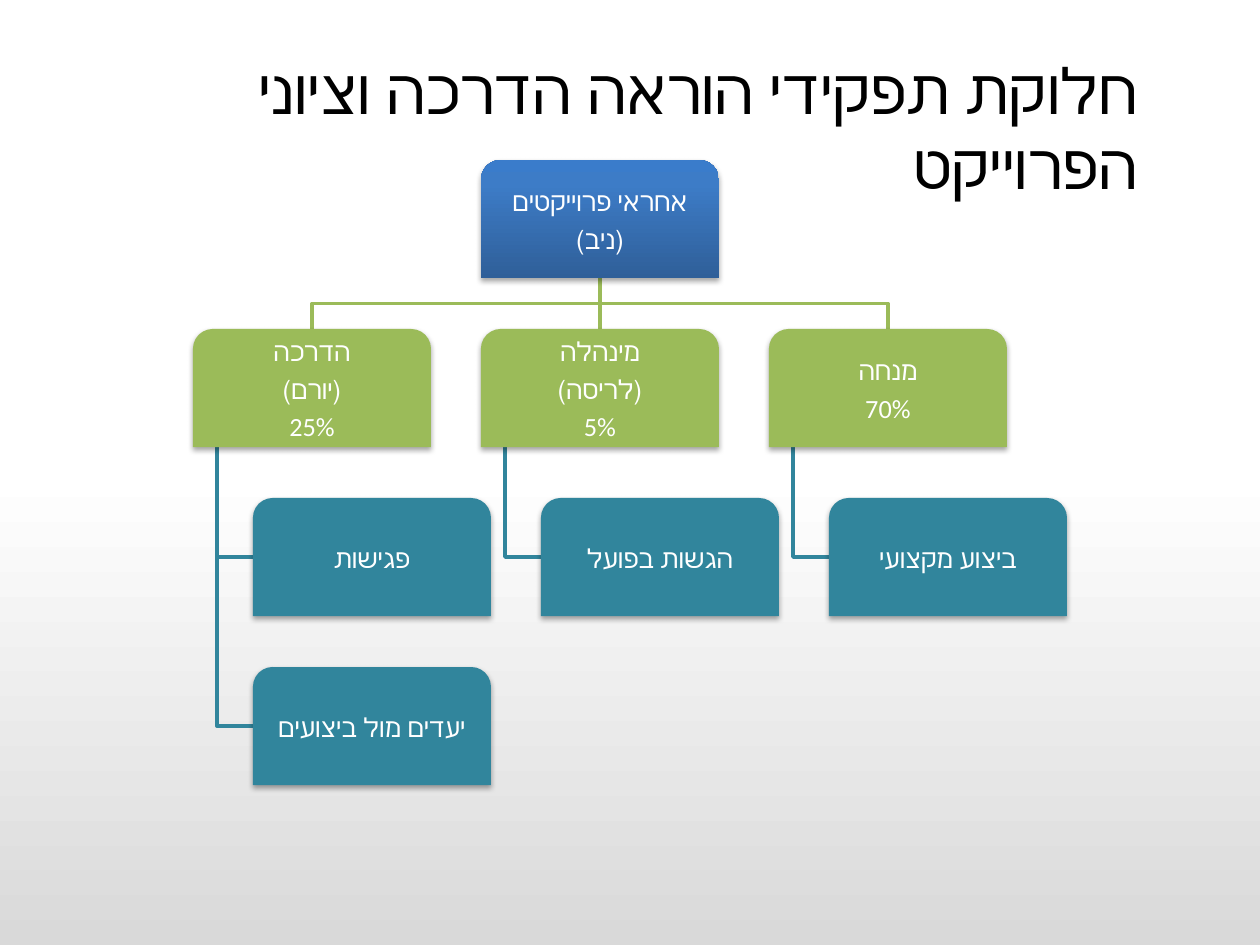
import copy

import lxml.etree
import pptx
import pptx.dml.color
import pptx.enum.shapes
import pptx.enum.text
import pptx.oxml.ns
import pptx.util

# Content: lines of each box; every branch holds its head and its children
TITLE = "חלוקת תפקידי הוראה הדרכה וציוני הפרוייקט"
ROOT = ["אחראי פרוייקטים", "(ניב)"]
BRANCHES = [
    (["הדרכה", "(יורם)", "25%"], ["פגישות", "יעדים מול ביצועים"]),
    (["מינהלה", "(לריסה)", "5%"], ["הגשות בפועל"]),
    (["מנחה", "70%"], ["ביצוע מקצועי"]),
]

RGB = pptx.dml.color.RGBColor
BLACK, WHITE = RGB(0, 0, 0), RGB(255, 255, 255)
GREY = RGB(0xD9, 0xD9, 0xD9)
GREEN, TEAL = RGB(0x9B, 0xBB, 0x59), RGB(0x31, 0x85, 0x9C)
BLUE_STOPS = [(0, RGB(0x2F, 0x5F, 0x99)), (0.8, RGB(0x3D, 0x7C, 0xC7)),
              (1, RGB(0x3A, 0x7C, 0xCB))]
FONT = "Calibri"

# Layout in px
PX = 914400 / 126
LEFT, TOP = 193, 160
BOX_W, BOX_H = 238, 118
COL_STEP, ROW_STEP = 288, 169
INDENT, TRUNK = 60, 24

qn = pptx.oxml.ns.qn
SHAPE = pptx.enum.shapes.MSO_SHAPE
ALIGN = pptx.enum.text.PP_ALIGN


def emu(px):
    return pptx.util.Emu(round(px * PX))


def format_paragraph(p, size, color, align, rtl):
    p.alignment = align
    if rtl:
        p._p.get_or_add_pPr().set("rtl", "1")
    for r in p.runs:
        r.font.size = pptx.util.Pt(size)
        r.font.name = FONT
        r.font.color.rgb = color


def set_gradient(fill, stops, angle):
    for stop, (position, color) in zip(fill.gradient_stops, stops):
        stop.position = position
        stop.color.rgb = color
    fill.gradient_angle = angle


def add_shadow(sp):
    effects = lxml.etree.SubElement(sp._element.spPr, qn("a:effectLst"))
    shadow = lxml.etree.SubElement(
        effects, qn("a:outerShdw"), blurRad=str(pptx.util.Pt(3.1)),
        dist=str(pptx.util.Pt(1.8)), dir="5400000", rotWithShape="0")
    color = lxml.etree.SubElement(shadow, qn("a:srgbClr"), val="000000")
    lxml.etree.SubElement(color, qn("a:alpha"), val="35000")


def add_box(shapes, x, y, lines, color=None):
    sp = shapes.add_shape(SHAPE.ROUND_2_SAME_RECTANGLE,
                          emu(x), emu(y), emu(BOX_W), emu(BOX_H))
    if color is None:
        sp.fill.gradient()
        gs_list = sp._element.spPr.find(".//" + qn("a:gsLst"))
        gs_list.append(copy.deepcopy(gs_list[-1]))
        set_gradient(sp.fill, BLUE_STOPS, 90)
    else:
        sp.fill.solid()
        sp.fill.fore_color.rgb = color
    sp.line.fill.background()
    add_shadow(sp)
    tf = sp.text_frame
    tf.margin_left = tf.margin_right = tf.margin_top = tf.margin_bottom = emu(1)
    tf.vertical_anchor = pptx.enum.text.MSO_ANCHOR.MIDDLE
    tf.word_wrap = True
    tf.text = "\n".join(lines)
    for p in tf.paragraphs:
        p.line_spacing = 0.9
        p.space_after = pptx.util.Pt(5.25)
        format_paragraph(p, 15, WHITE, ALIGN.CENTER, not p.text.endswith("%"))


def add_link(shapes, points, color):
    points = [(emu(x), emu(y)) for x, y in points]
    if len(points) == 2:
        sp = shapes.add_connector(pptx.enum.shapes.MSO_CONNECTOR.STRAIGHT,
                                  *points[0], *points[1])
        lxml.etree.SubElement(sp._element.spPr, qn("a:effectLst"))
    else:
        builder = shapes.build_freeform(*points[0])
        builder.add_line_segments(points[1:], close=False)
        sp = builder.convert_to_shape()
        sp.fill.background()
        sp.shadow.inherit = False
    sp.line.color.rgb = color
    sp.line.width = pptx.util.Pt(2)


def main():
    prs = pptx.Presentation()
    prs.slide_width, prs.slide_height = emu(1260), emu(945)
    s = prs.slides.add_slide(prs.slide_layouts[6])
    s.background.fill.gradient()
    set_gradient(s.background.fill, [(0.5, WHITE), (1, GREY)], 270)

    # Positions: heads in the second row, children indented below them
    root_x, head_y = LEFT + COL_STEP, TOP + ROW_STEP
    root_mid, root_bottom = root_x + BOX_W // 2, TOP + BOX_H
    bus_y = (root_bottom + head_y) / 2
    links, boxes = [], [(root_x, TOP, ROOT)]
    for col, (head, children) in enumerate(BRANCHES):
        x = LEFT + col * COL_STEP
        mid = x + BOX_W // 2
        bends = [] if mid == root_mid else [(root_mid, bus_y), (mid, bus_y)]
        links.append(([(root_mid, root_bottom), *bends, (mid, head_y)], GREEN))
        boxes.append((x, head_y, head, GREEN))
        for row, child in enumerate(children, 1):
            y = head_y + row * ROW_STEP
            mid_y = y + BOX_H / 2
            links.append(([(x + TRUNK, head_y + BOX_H), (x + TRUNK, mid_y),
                           (x + INDENT, mid_y)], TEAL))
            boxes.append((x + INDENT, y, [child], TEAL))

    # Chart: links behind boxes
    for link in links:
        add_link(s.shapes, *link)
    for box in boxes:
        add_box(s.shapes, *box)

    # Title
    tb = s.shapes.add_textbox(emu(15), emu(45), emu(1135), emu(89))
    tf = tb.text_frame
    tf.word_wrap = True
    tf.text = TITLE
    format_paragraph(tf.paragraphs[0], 36, BLACK, ALIGN.RIGHT, True)

    prs.save("out.pptx")


if __name__ == "__main__":
    main()
